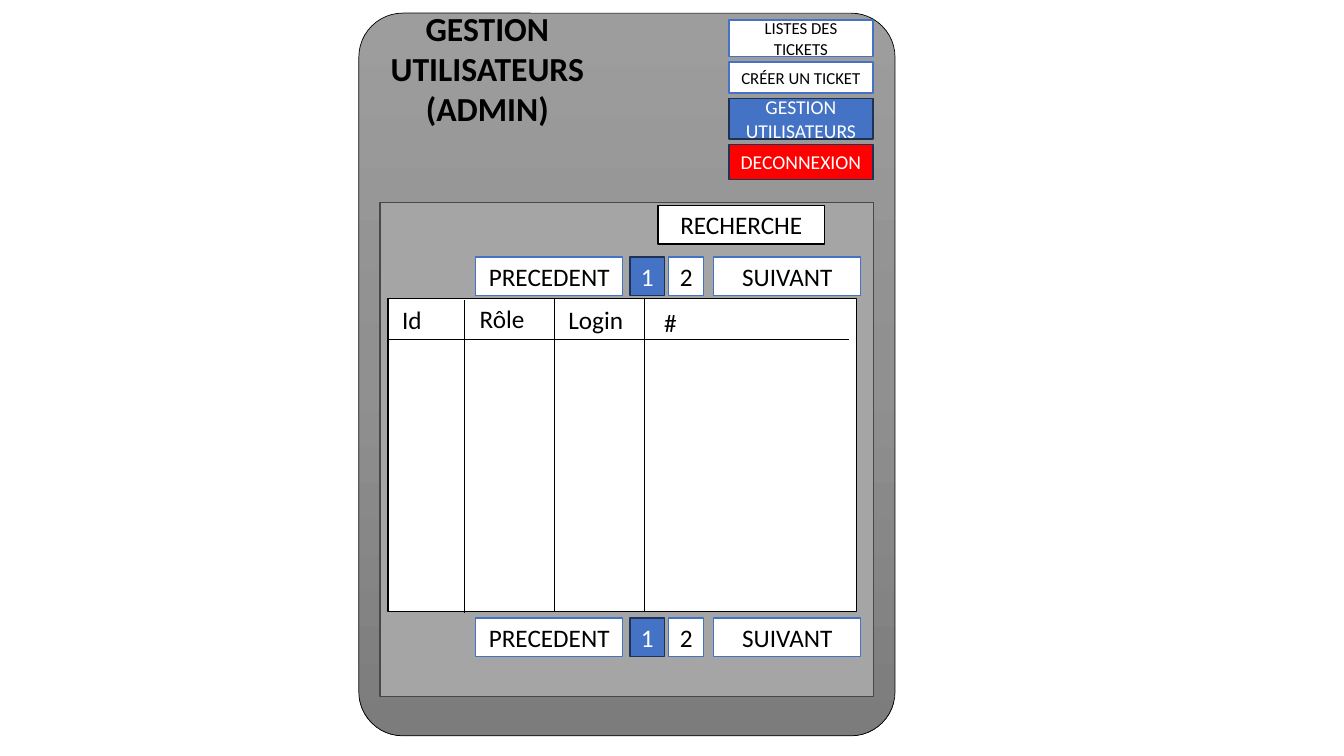
from copy import deepcopy

from pptx import Presentation
from pptx import util as u
from pptx.dml import color
from pptx.enum import shapes, text
from pptx.oxml import ns
from lxml import etree

COLORS = {
    "white": "FFFFFF", "black": "000000", "blue": "4472C4", "navy": "1E3256",
    "red": "FF0000", "panel": "A5A5A5", "panel_line": "484848",
}
FRAME_GRADIENT = [(0, "9D9D9D"), (0.5, "909090"), (1, "7C7C7C")]
FONT = "Calibri"
RECTANGLE = shapes.MSO_SHAPE.RECTANGLE
NORMAL = ("white", "blue", "black")
ACTIVE = ("blue", "navy", "white")
DANGER = ("red", "navy", "white")
SEARCH = ("white", "black", "black")


def rgb(name):
    return color.RGBColor.from_string(COLORS[name])


def points(*lengths):
    return [u.Pt(length) for length in lengths]


def write(paragraph, words, size, color_name, bold=False):
    run = paragraph.add_run()
    run.text = words
    run.font.name = FONT
    run.font.size = u.Pt(size)
    run.font.bold = bold
    run.font.color.rgb = rgb(color_name)


def add_block(slide, box, fill, line, kind=RECTANGLE):
    shape = slide.shapes.add_shape(kind, *points(*box))
    shape.shadow.inherit = False
    shape.fill.solid()
    shape.fill.fore_color.rgb = rgb(fill)
    shape.line.color.rgb = rgb(line)
    shape.line.width = u.Pt(1)
    return shape


def add_button(slide, box, words, size, style):
    fill, line, ink = style
    frame = add_block(slide, box, fill, line).text_frame
    frame.word_wrap = True
    frame.vertical_anchor = text.MSO_ANCHOR.MIDDLE
    frame.paragraphs[0].alignment = text.PP_ALIGN.CENTER
    write(frame.paragraphs[0], words, size, ink)


def add_rule(slide, x1, y1, x2, y2):
    rule = slide.shapes.add_connector(
        shapes.MSO_CONNECTOR.STRAIGHT, *points(x1, y1, x2, y2))
    rule.line.color.rgb = rgb("black")
    rule.line.width = u.Pt(0.5)
    etree.SubElement(rule.element.spPr, ns.qn("a:effectLst"))


def add_frame(slide, box):
    frame = add_block(slide, box, "panel", "black",
                      shapes.MSO_SHAPE.ROUNDED_RECTANGLE)
    frame.adjustments[0] = 0.082
    frame.line.width = u.Pt(0.5)
    frame.fill.gradient()
    frame.fill.gradient_angle = 270
    first_stop = frame.element.spPr.find(".//" + ns.qn("a:gs"))
    first_stop.addnext(deepcopy(first_stop))
    for stop, (position, value) in zip(frame.fill.gradient_stops, FRAME_GRADIENT):
        stop.position = position
        stop.color.rgb = color.RGBColor.from_string(value)
    return frame


def add_title(slide, box, frame):
    title = slide.shapes.title
    frame.element.addnext(title.element)
    title.left, title.top, title.width, title.height = points(*box)
    body = title.text_frame
    body.word_wrap = True
    body.auto_size = text.MSO_AUTO_SIZE.NONE
    body.vertical_anchor = text.MSO_ANCHOR.MIDDLE
    for index, words in enumerate(["GESTION UTILISATEURS", "(ADMIN)"]):
        paragraph = body.add_paragraph() if index else body.paragraphs[0]
        paragraph.alignment = text.PP_ALIGN.CENTER
        write(paragraph, words, 24, "black", True)


def add_menu(slide, box):
    left, top, width = box
    gap = 3.9
    for words, height, size, style in [
        ("LISTES DES TICKETS", 25.9, 12, NORMAL),
        ("CRÉER UN TICKET", 22.3, 12, NORMAL),
        ("GESTION UTILISATEURS", 28.8, 14, ACTIVE),
        ("DECONNEXION", 25.2, 14, DANGER),
    ]:
        add_button(slide, (left, top, width, height), words, size, style)
        top += height + gap


def add_user_grid(slide, box):
    left, top, width, height = box
    add_block(slide, box, "white", "black")
    add_rule(slide, left, top + 29.5, left + width - 5.8, top + 29.5)
    for column, drop in enumerate([1.4, 0, 0.7]):
        x = left + 54.7 + 64.1 * column
        add_rule(slide, x, top + drop, x, top + drop + 223.2)
    for words, x, y, label_width in [
        ("Id", 2.9, 0.7, 52.6),
        ("Rôle", 58.3, 0, 66.2),
        ("Login", 121.7, 0.7, 123.8),
        ("#", 190.1, 2.9, 123.8),
    ]:
        label = slide.shapes.add_textbox(
            *points(left + x, top + y, label_width, 29.1))
        label.text_frame.word_wrap = True
        write(label.text_frame.paragraphs[0], words, 18, "black")


def add_pager(slide, box):
    left, top, height = box
    for words, x, width, style in [
        ("PRECEDENT", 0, 105.1, NORMAL),
        ("SUIVANT", 170, 105.1, NORMAL),
        ("1", 110.2, 24.9, ACTIVE),
        ("2", 137.9, 24.9, NORMAL),
    ]:
        add_button(slide, (left + x, top, width, height), words, 18, style)


def add_content(slide, box):
    left, top, width, height = box
    add_block(slide, box, "panel", "panel_line")
    add_user_grid(slide, (left + 5.8, top + 68.4, 334.8, 223.9))
    add_button(slide, (left + 198.7, top + 2.2, 118.8, 27.4),
               "RECHERCHE", 18, SEARCH)
    for offset in (38.9, 296.7):
        add_pager(slide, (left + 68.4, top + offset, 27.4))


def add_user_screen(slide, box):
    left, top, width, height = box
    frame = add_frame(slide, box)
    add_title(slide, (left + 7.9, top - 8, 167.8, 94.3), frame)
    add_menu(slide, (left + 264.3, top + 5, 103))
    add_content(slide, (left + 15.1, top + 135.3, 352.8, 352.8))


def main():
    presentation = Presentation()
    presentation.slide_width = u.Pt(960)
    presentation.slide_height = u.Pt(540)
    slide = presentation.slides.add_slide(presentation.slide_layouts[5])
    add_user_screen(slide, (256.3, 9.4, 383, 516.2))
    presentation.save("out.pptx")


if __name__ == "__main__":
    main()
